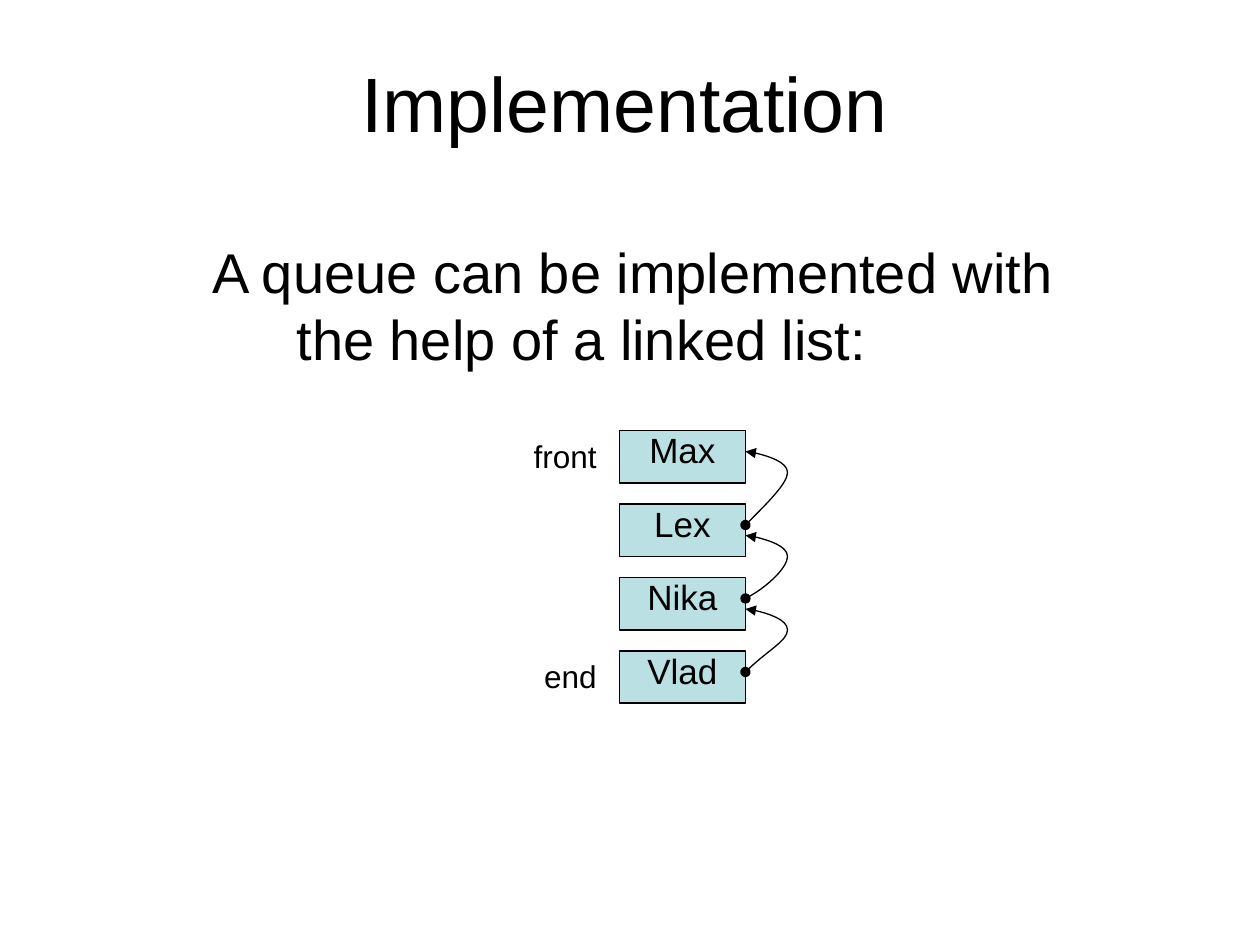
from dataclasses import dataclass
from typing import Any

from lxml.etree import SubElement
from pptx import Presentation
from pptx.dml.color import RGBColor
from pptx.enum.shapes import MSO_SHAPE as Preset
from pptx.enum.text import MSO_ANCHOR as Anchor, PP_ALIGN as Align
from pptx.oxml.ns import qn
from pptx.util import Inches, Pt

COLORS = {"ink": "000000", "node": "BBE0E3", "paper": "FFFFFF"}
FONT = "Arial"
COLUMNS, ROWS = 120, 90
CELL = Inches(10) // COLUMNS
NODE_LEFT, NODE_TOP, NODE_WIDTH, NODE_HEIGHT, NODE_PITCH = 59, 41, 12, 5, 7
LINK_WIDTH, LINK_DROP = 4, 2
LINK_CURVE = [(0.5, 0.75), (1, 0.5), (1, 0.33), (1, 0.17), (0.17, 0.07), (0, 0)]


@dataclass
class Area:
    left: float
    top: float
    width: float
    height: float

    def emu(self) -> list[int]:
        return [round(side * CELL) for side in (self.left, self.top, self.width, self.height)]


@dataclass
class Node:
    name: str
    row: int
    link_rise: int = 0

    @property
    def top(self) -> int:
        return NODE_TOP + self.row * NODE_PITCH


@dataclass
class Label:
    text: str
    area: Area


NODES = [Node("Max", 0), Node("Lex", 1, 7), Node("Nika", 2, 6), Node("Vlad", 3, 6)]
LABELS = [
    Label("end", Area(50, NODES[-1].top, 8, 4.8)),
    Label("front", Area(48, NODES[0].top, 10, 4.8)),
]


def color(key: str) -> RGBColor:
    return RGBColor.from_string(COLORS[key])


def write(holder: Any, text: str, *, size: float, align: Align = Align.LEFT,
          anchor: Anchor = Anchor.TOP, before: float = 0, spacing: float = 1.0,
          hanging: float = 0) -> None:
    frame = holder.text_frame
    frame.word_wrap = True
    frame.vertical_anchor = anchor
    paragraph = frame.paragraphs[0]
    paragraph.alignment = align
    paragraph.space_before = Pt(before)
    paragraph.line_spacing = spacing
    if hanging:
        properties = paragraph._p.get_or_add_pPr()
        properties.set("marL", str(Inches(hanging)))
        properties.set("indent", str(-Inches(hanging)))
    run = paragraph.add_run()
    run.text = text
    run.font.name = FONT
    run.font.size = Pt(size)
    run.font.color.rgb = color("ink")


def place(holder: Any, area: Area) -> None:
    holder.left, holder.top, holder.width, holder.height = area.emu()


def outline(shape: Any, width: float) -> None:
    shape.shadow.inherit = False
    shape.line.color.rgb = color("ink")
    shape.line.width = Pt(width)


def draw_node(slide: Any, node: Node) -> None:
    area = Area(NODE_LEFT, node.top, NODE_WIDTH, NODE_HEIGHT)
    box = slide.shapes.add_shape(Preset.RECTANGLE, *area.emu())
    box.fill.solid()
    box.fill.fore_color.rgb = color("node")
    outline(box, 1)
    write(box, node.name, size=20, align=Align.CENTER, spacing=0.8)


def draw_link(slide: Any, node: Node) -> None:
    left = NODE_LEFT + NODE_WIDTH
    start = node.top + LINK_DROP
    end = start - node.link_rise
    builder = slide.shapes.build_freeform(left, start, scale=CELL)
    builder.add_line_segments(
        [(left + x * LINK_WIDTH, end + y * node.link_rise) for x, y in LINK_CURVE],
        close=False)
    link = builder.convert_to_shape()
    link.fill.background()
    outline(link, 0.75)

    track = next(link._element.iter(qn("a:path")))
    segments = track.findall(qn("a:lnTo"))
    for first in range(0, len(segments), 3):
        curve = SubElement(track, qn("a:cubicBezTo"))
        for segment in segments[first:first + 3]:
            curve.append(segment[0])
            track.remove(segment)

    stroke = link.line._get_or_add_ln()
    for tip, kind in (("a:headEnd", "oval"), ("a:tailEnd", "triangle")):
        SubElement(stroke, qn(tip), type=kind)


def draw_label(slide: Any, label: Label) -> None:
    box = slide.shapes.add_textbox(*label.area.emu())
    write(box, label.text, size=18, align=Align.RIGHT, before=11.2)


def main() -> None:
    deck = Presentation()
    deck.slide_width, deck.slide_height = COLUMNS * CELL, ROWS * CELL
    slide = deck.slides.add_slide(deck.slide_layouts[0])
    slide.background.fill.solid()
    slide.background.fill.fore_color.rgb = color("paper")

    title, statement = slide.placeholders
    place(title, Area(2, 0, 115, 19.3))
    write(title, "Implementation", size=44, align=Align.CENTER, anchor=Anchor.MIDDLE)
    place(statement, Area(19, 22, 89, 60))
    write(statement, "A queue can be implemented with the help of a linked list:",
          size=32, before=8, hanging=0.67)

    for node in NODES:
        draw_node(slide, node)
    for node in NODES[1:]:
        draw_link(slide, node)
    for label in LABELS:
        draw_label(slide, label)

    deck.save("out.pptx")


if __name__ == "__main__":
    main()
